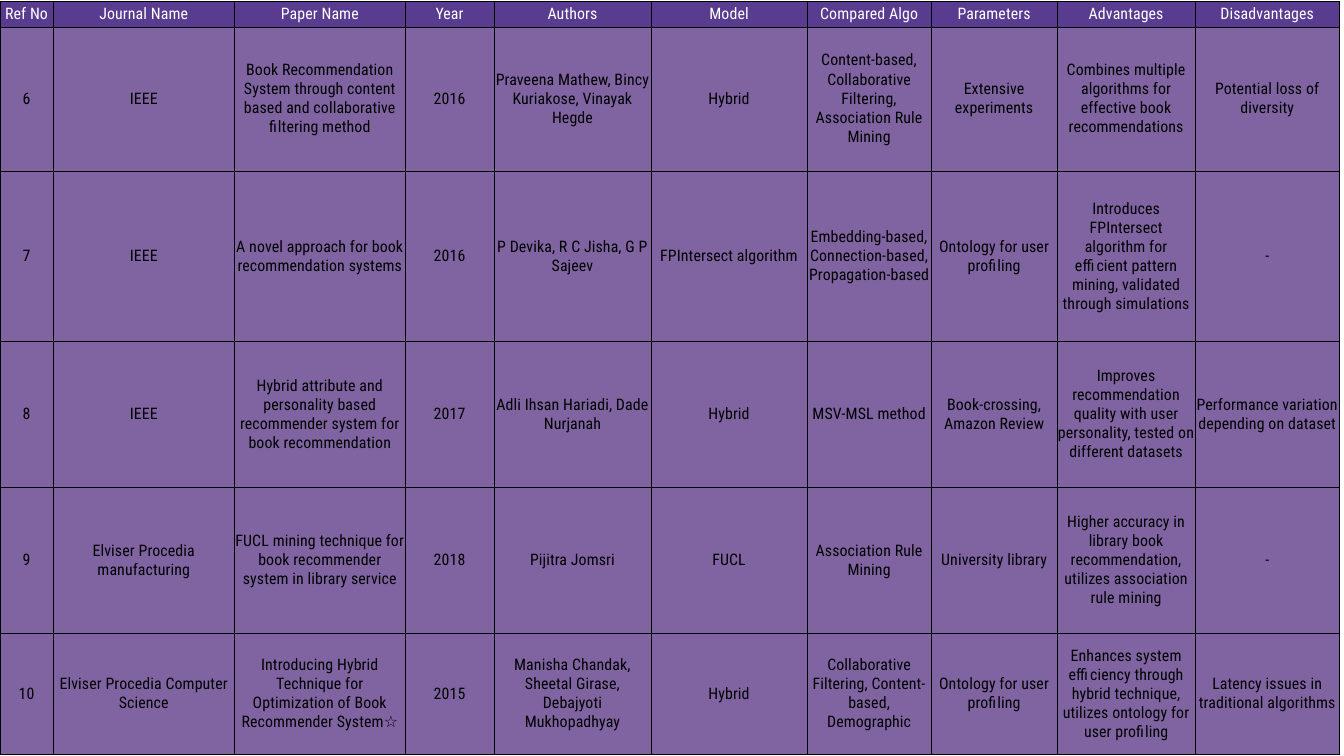
from dataclasses import dataclass

from lxml.etree import SubElement as Sub
from pptx import Presentation
from pptx.dml.color import RGBColor as RGB
from pptx.enum.text import MSO_ANCHOR as Anchor, PP_ALIGN as Align
from pptx.oxml.ns import qn
from pptx.util import Inches, Pt


@dataclass(frozen=True)
class Theme:
    font: str = "Roboto Condensed"
    size: float = 17
    lead: float = 20.4
    track: int = 10  # hundredths of a point
    inset: float = 0.01
    rule: float = 0.37
    line: str = "000000"
    dark: str = "593C8F"
    light: str = "8064A2"
    white: str = "FFFFFF"
    black: str = "000000"


THEME = Theme()

COLS = [0.79, 2.7, 2.54, 1.32, 2.34, 2.32, 1.85, 1.87, 2.06, 2.14]
TALL = [2.17, 2.53, 2.17, 2.17, 1.81]

HEAD = ["Ref No", "Journal Name", "Paper Name", "Year", "Authors", "Model",
        "Compared Algo", "Parameters", "Advantages", "Disadvantages"]

PAPERS = [
    ["6", "IEEE",
     "Book Recommendation System through content based and collaborative filtering method",
     "2016", "Praveena Mathew, Bincy Kuriakose, Vinayak Hegde", "Hybrid",
     "Content-based, Collaborative Filtering, Association Rule Mining",
     "Extensive experiments",
     "Combines multiple algorithms for effective book recommendations",
     "Potential loss of diversity"],
    ["7", "IEEE", "A novel approach for book recommendation systems",
     "2016", "P Devika, R C Jisha, G P Sajeev", "FPIntersect algorithm",
     "Embedding-based, Connection-based, Propagation-based",
     "Ontology for user profiling",
     "Introduces FPIntersect algorithm for efficient pattern mining, "
     "validated through simulations",
     "-"],
    ["8", "IEEE",
     "Hybrid attribute and personality based recommender system for book recommendation",
     "2017", "Adli Ihsan Hariadi, Dade Nurjanah", "Hybrid",
     "MSV-MSL method", "Book-crossing, Amazon Review",
     "Improves recommendation quality with user personality, tested on different datasets",
     "Performance variation depending on dataset"],
    ["9", "Elviser Procedia manufacturing",
     "FUCL mining technique for book recommender system in library service",
     "2018", "Pijitra Jomsri", "FUCL",
     "Association Rule Mining", "University library",
     "Higher accuracy in library book recommendation, utilizes association rule mining",
     "-"],
    ["10", "Elviser Procedia Computer Science",
     "Introducing Hybrid Technique for Optimization of Book Recommender System☆",
     "2015", "Manisha Chandak, Sheetal Girase, Debajyoti Mukhopadhyay", "Hybrid",
     "Collaborative Filtering, Content-based, Demographic",
     "Ontology for user profiling",
     "Enhances system efficiency through hybrid technique, "
     "utilizes ontology for user profiling",
     "Latency issues in traditional algorithms"],
]


def add_rules(cell):
    """Draw a thin line on all four sides; call before filling the cell."""
    props = cell._tc.get_or_add_tcPr()
    for side in ("lnL", "lnR", "lnT", "lnB"):
        line = Sub(props, qn(f"a:{side}"), w=str(Pt(THEME.rule)))
        Sub(Sub(line, qn("a:solidFill")), qn("a:srgbClr"), val=THEME.line)


def fill_cell(cell, text, back, ink):
    add_rules(cell)
    cell.fill.solid()
    cell.fill.fore_color.rgb = RGB.from_string(back)
    cell.vertical_anchor = Anchor.MIDDLE
    cell.margin_left = cell.margin_right = Inches(THEME.inset)
    cell.margin_top = cell.margin_bottom = Inches(THEME.inset)
    cell.text_frame.text = text
    para = cell.text_frame.paragraphs[0]
    para.alignment = Align.CENTER
    para.line_spacing = Pt(THEME.lead)
    for run in para.runs:
        run.font.name = THEME.font
        run.font.size = Pt(THEME.size)
        run.font.color.rgb = RGB.from_string(ink)
        run._r.get_or_add_rPr().set("spc", str(THEME.track))


def add_grid(slide, top, tall, rows, back, ink):
    frame = slide.shapes.add_table(len(rows), len(COLS), 0, Inches(top),
                                   Inches(sum(COLS)), Inches(sum(tall)))
    table = frame.table
    table.first_row = table.horz_banding = False
    for col, wide in zip(table.columns, COLS):
        col.width = Inches(wide)
    for row, high, texts in zip(table.rows, tall, rows):
        row.height = Inches(high)
        for cell, text in zip(row.cells, texts):
            fill_cell(cell, text, back, ink)


def main():
    deck = Presentation()
    deck.slide_width, deck.slide_height = Inches(20), Inches(11.25)
    slide = deck.slides.add_slide(deck.slide_layouts[6])
    add_grid(slide, 0.38, TALL, PAPERS, THEME.light, THEME.black)
    add_grid(slide, 0.01, [0.4], [HEAD], THEME.dark, THEME.white)
    deck.save("out.pptx")


if __name__ == "__main__":
    main()
